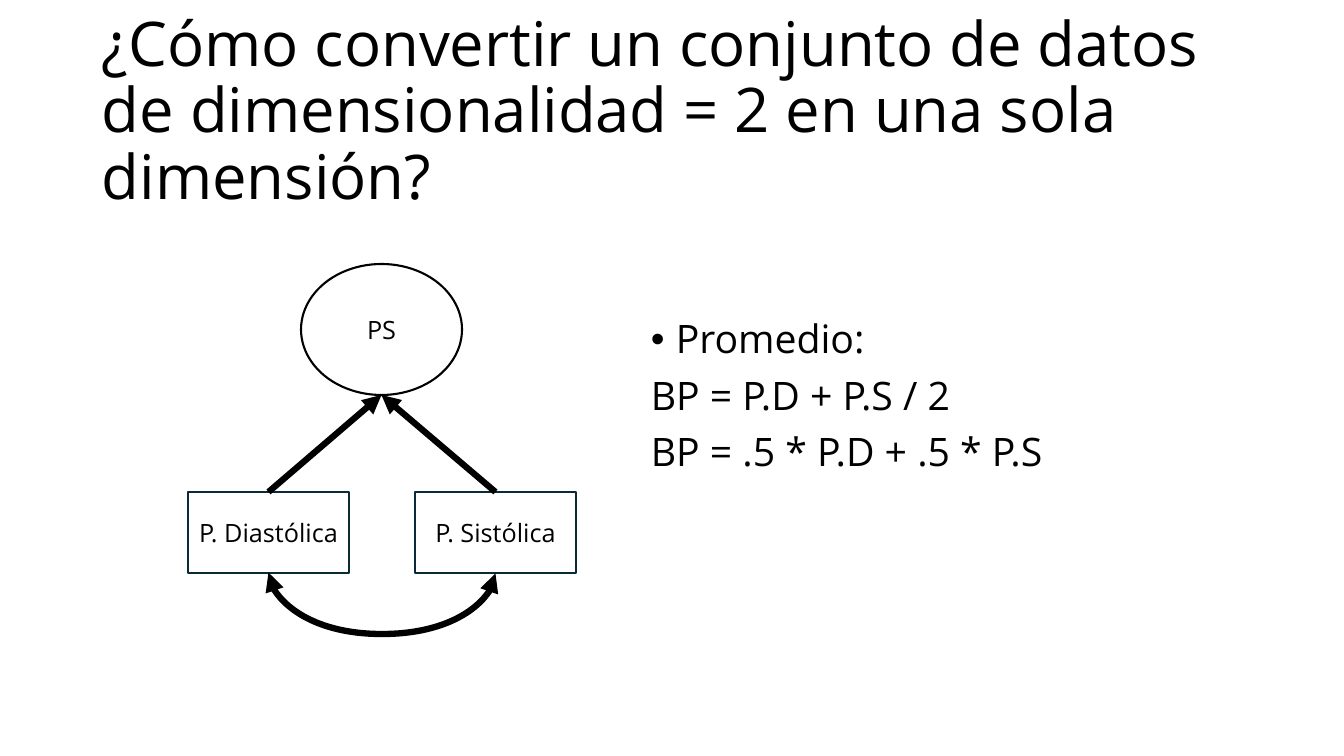
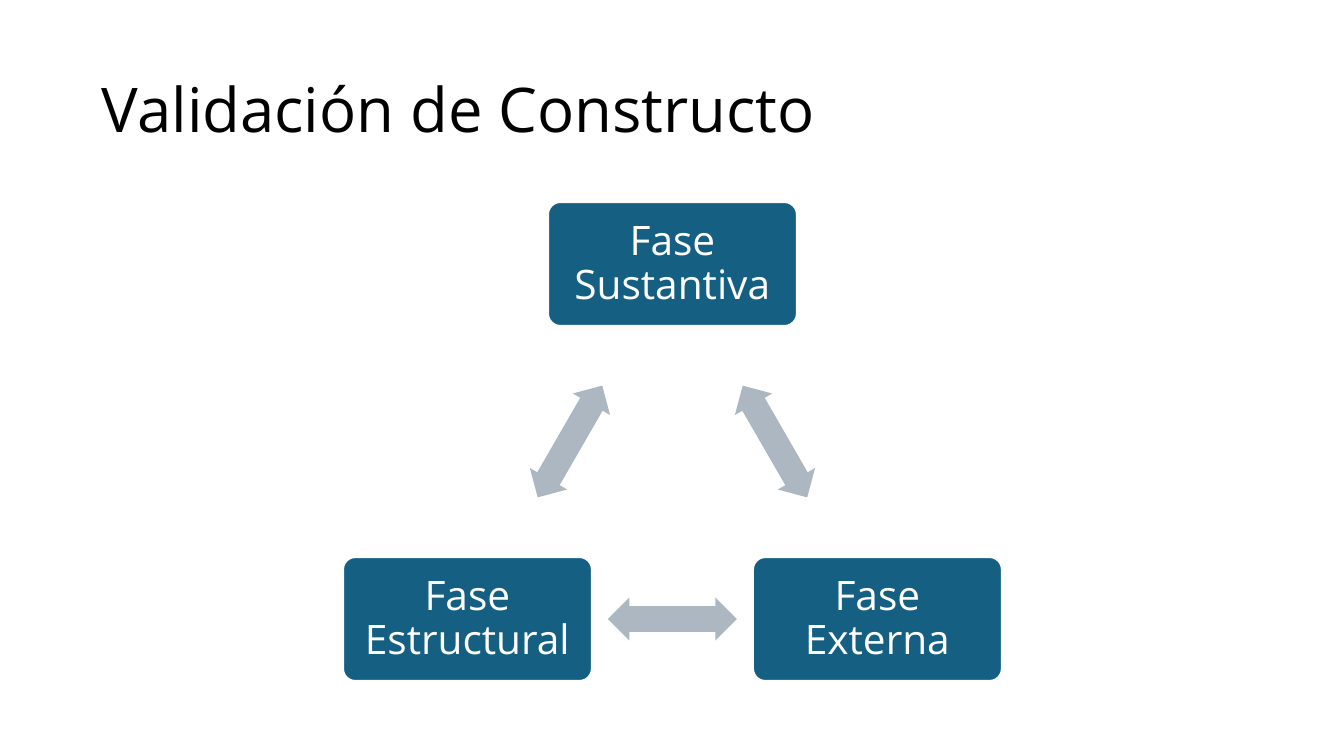
from collections import namedtuple
from dataclasses import dataclass
from itertools import pairwise

from lxml.etree import SubElement
from pptx import Presentation
from pptx.dml.color import RGBColor
from pptx.enum.shapes import MSO_CONNECTOR as Link, MSO_SHAPE as Form
from pptx.enum.text import MSO_ANCHOR as Anchor, PP_ALIGN as Align
from pptx.oxml.ns import qn
from pptx.util import Emu, Pt

SLIDE_W, SLIDE_H = 1344, 756
SCALE = 12192000 / SLIDE_W
Box = namedtuple("Box", "x y w h")


@dataclass(frozen=True)
class Theme:
    """Hold the colours, font and type sizes of both slides."""
    font: str = "Open Sans"
    ink: str = "000000"
    paper: str = "FFFFFF"
    frame: str = "092A39"
    phase: str = "156082"
    arrow: str = "ACB7C1"
    title_size: int = 44
    body_size: int = 28
    phase_size: int = 29
    node_size: int = 18
    outline: float = 1.5
    path_line: float = 4.5


THEME = Theme()
TITLE = Box(92, 40, 1159, 146)


def px(length):
    """Turn pixels into EMU."""
    return Emu(round(length * SCALE))


def write(frame, text, size, color=THEME.ink, align=Align.LEFT, anchor=Anchor.MIDDLE,
          spacing=None, before=0, inset=None, bullets=()):
    """Fill a text frame with one paragraph per line of text."""
    frame.word_wrap = True
    frame.vertical_anchor = anchor
    if inset is not None:
        frame.margin_left = frame.margin_right = px(inset)
        frame.margin_top = frame.margin_bottom = px(inset)
    for index, line in enumerate(text.split("\n")):
        paragraph = frame.add_paragraph() if index else frame.paragraphs[0]
        paragraph.alignment = align
        paragraph.line_spacing = spacing
        paragraph.space_before = Pt(before)
        run = paragraph.add_run()
        run.text = line
        run.font.name = THEME.font
        run.font.size = Pt(size)
        run.font.color.rgb = RGBColor.from_string(color)
        if index in bullets:
            props = paragraph._p.get_or_add_pPr()
            props.set("marL", str(px(25)))
            props.set("indent", str(-px(25)))
            SubElement(props, qn("a:buFont")).set("typeface", "Arial")
            SubElement(props, qn("a:buChar")).set("char", "•")


def text_area(slide, box, text, **style):
    """Place a text box."""
    area = slide.shapes.add_textbox(*map(px, box))
    write(area.text_frame, text, spacing=0.9, **style)


def figure(slide, form, box, fill=None, line=None, adjust=()):
    """Place a preset shape with its fill and outline."""
    shape = slide.shapes.add_shape(form, *map(px, box))
    shape.shadow.inherit = False
    for index, value in enumerate(adjust):
        shape.adjustments[index] = value
    if fill:
        shape.fill.solid()
        shape.fill.fore_color.rgb = RGBColor.from_string(fill)
    else:
        shape.fill.background()
    if line:
        shape.line.color.rgb = RGBColor.from_string(line)
        shape.line.width = Pt(THEME.outline)
    else:
        shape.line.fill.background()
    return shape


def path(slide, kind, start, end, heads):
    """Place a thick connector with triangular heads."""
    link = slide.shapes.add_connector(kind, *map(px, (*start, *end)))
    link.line.color.rgb = RGBColor.from_string(THEME.ink)
    link.line.width = Pt(THEME.path_line)
    outline = link.line._get_or_add_ln()
    for head in heads:
        SubElement(outline, qn(f"a:{head}")).set("type", "triangle")
    SubElement(link._element.spPr, qn("a:effectLst"))
    return link


def correlation(slide, left, right, depth):
    """Hang a two-headed curve between two points of equal height."""
    middle, span = (left[0] + right[0]) / 2, right[0] - left[0]
    top = left[1] - span / 2
    curve = path(slide, Link.CURVE, (middle + 0.5, top), (middle - 0.5, top + span),
                 ("headEnd", "tailEnd"))
    props = curve._element.spPr
    props.find(qn("a:xfrm")).set("rot", str(270 * 60000))
    guides = props.find(qn("a:prstGeom")).find(qn("a:avLst"))
    guide = SubElement(guides, qn("a:gd"))
    guide.set("name", "adj1")
    guide.set("fmla", f"val {depth * 100000}")


def pressure_model(slide, box):
    """Draw the latent variable above its two correlated indicators."""
    width, height = 161, 81
    latent = Box(box.x + (box.w - width) // 2, box.y, width, 131)
    target = (latent.x + width / 2, latent.y + latent.h)
    oval = figure(slide, Form.OVAL, latent, THEME.paper, THEME.ink)
    write(oval.text_frame, "PS", THEME.node_size, align=Align.CENTER)
    feet = []
    for label, x in (("P. Diastólica", box.x), ("P. Sistólica", box.x + box.w - width)):
        place = Box(x, box.y + 228, width, height)
        indicator = figure(slide, Form.RECTANGLE, place, line=THEME.frame)
        write(indicator.text_frame, label, THEME.node_size, align=Align.CENTER)
        arrow = path(slide, Link.STRAIGHT, (x + width / 2, place.y), target, ("tailEnd",))
        arrow.begin_connect(indicator, 0)
        feet.append((x + width / 2, place.y + height))
    correlation(slide, *feet, depth=62)


def phase_cycle(slide, box, labels):
    """Draw three phases on a triangle, joined by two-way arrows."""
    width, height = 249, 124
    arrow_w, arrow_h = 129, 43
    middle, bottom = box.x + (box.w - width) / 2, box.y + box.h - height
    corners = ((middle, box.y), (box.x + box.w - width, bottom), (box.x, bottom))
    for label, corner in zip(labels, corners):
        phase = figure(slide, Form.ROUNDED_RECTANGLE, Box(*corner, width, height),
                       THEME.phase, THEME.paper, (0.1,))
        write(phase.text_frame, label, THEME.phase_size, THEME.paper, Align.CENTER,
              spacing=0.9, inset=12)
    for turn, (start, end) in enumerate(pairwise((*corners, corners[0]))):
        x, y = ((a + b) / 2 for a, b in zip(start, end))
        place = Box(x + (width - arrow_w) / 2, y + (height - arrow_h) / 2, arrow_w, arrow_h)
        arrow = figure(slide, Form.LEFT_RIGHT_ARROW, place, THEME.arrow, adjust=(0.6, 0.5))
        arrow.rotation = 60 + 120 * turn


def titled_slide(deck, title):
    """Add a blank slide with the shared title style."""
    slide = deck.slides.add_slide(deck.slide_layouts[6])
    text_area(slide, TITLE, title, size=THEME.title_size)
    return slide


def main():
    """Build and save the deck."""
    deck = Presentation()
    deck.slide_width, deck.slide_height = px(SLIDE_W), px(SLIDE_H)
    slide = titled_slide(deck, "¿Cómo convertir un conjunto de datos de dimensionalidad = 2 "
                               "en una sola dimensión?")
    text_area(slide, Box(641, 315, 611, 367),
              "Promedio:\nBP = P.D + P.S / 2\nBP = .5 * P.D + .5 * P.S",
              size=THEME.body_size, anchor=Anchor.TOP, before=10, bullets=(0,))
    pressure_model(slide, Box(188, 264, 388, 371))
    slide = titled_slide(deck, "Validación de Constructo")
    phase_cycle(slide, Box(343, 202, 659, 479),
                ("Fase Sustantiva", "Fase Externa", "Fase Estructural"))
    deck.save("out.pptx")


if __name__ == "__main__":
    main()
